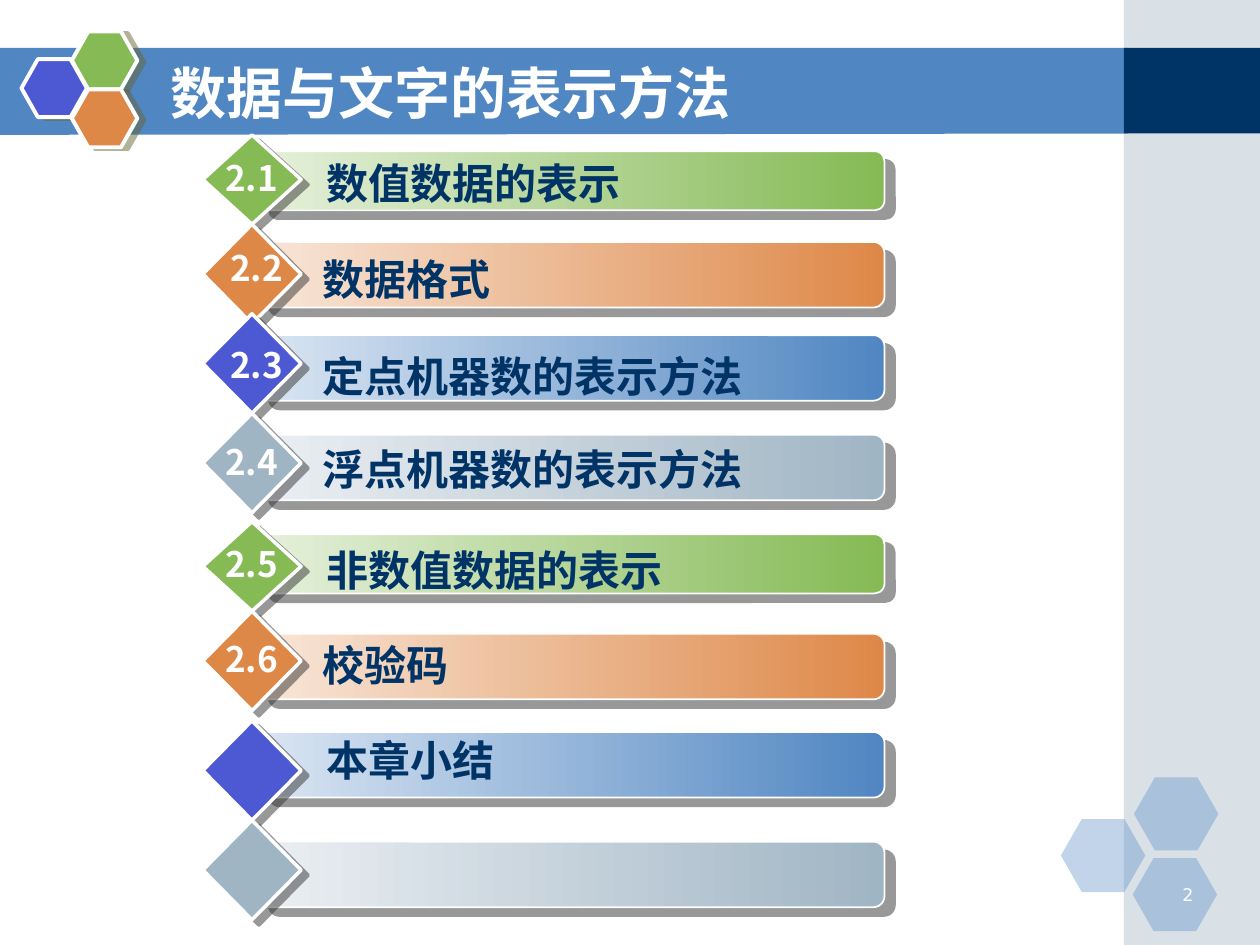
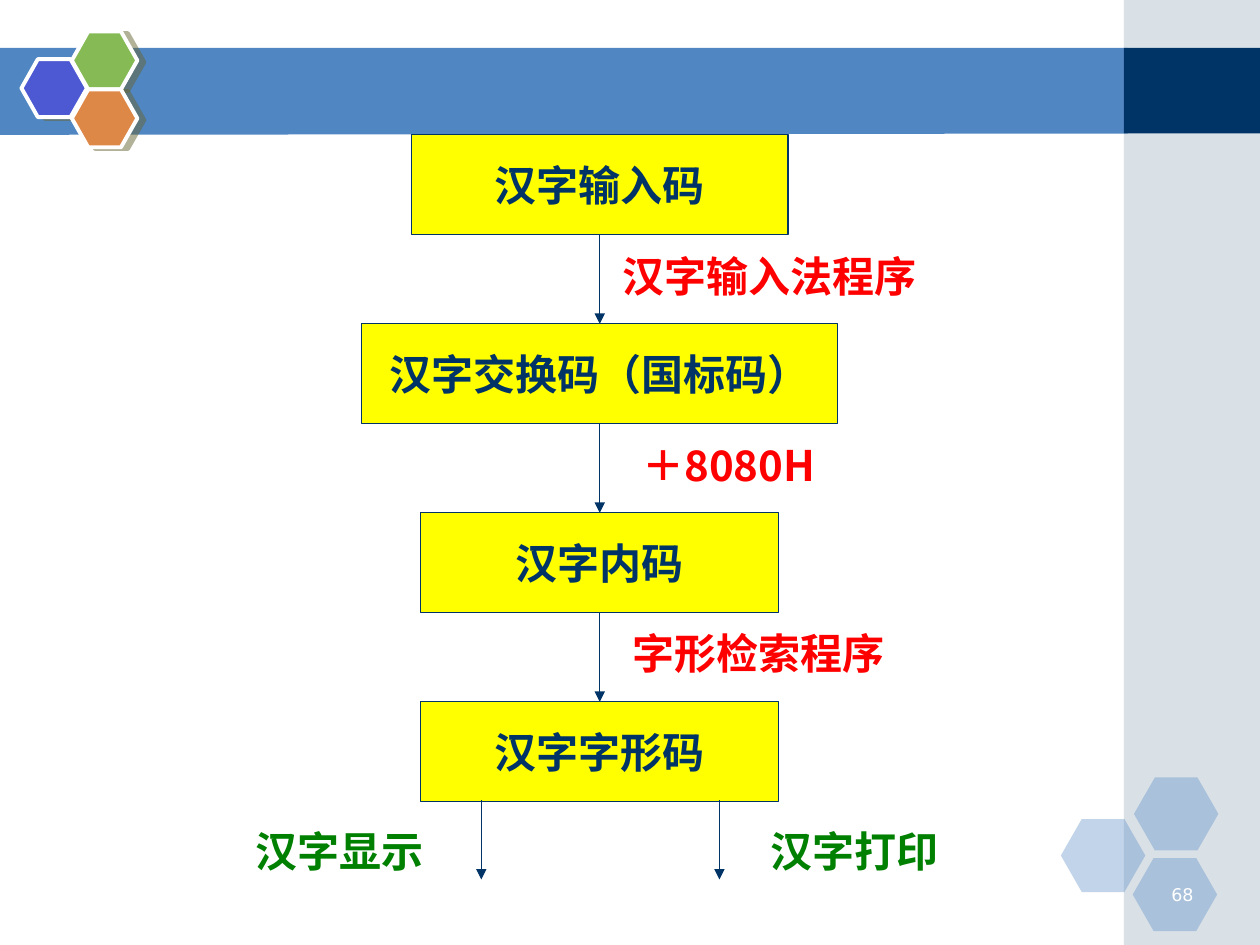
from itertools import cycle

from lxml.etree import SubElement
from pptx import Presentation
from pptx.dml.color import RGBColor as RGB
from pptx.enum.shapes import MSO_CONNECTOR as Line, MSO_SHAPE as Kind
from pptx.enum.text import MSO_ANCHOR as Anchor, MSO_AUTO_SIZE as Fit, PP_ALIGN as Align
from pptx.oxml.ns import qn
from pptx.util import Inches, Pt

# Colours
WHITE = RGB(0xFF, 0xFF, 0xFF)
NAVY = RGB(0x00, 0x33, 0x66)
BLUE = RGB(0x50, 0x86, 0xC2)
VIOLET = RGB(0x4C, 0x59, 0xD2)
GREEN = RGB(0x85, 0xBA, 0x54)
ORANGE = RGB(0xDE, 0x88, 0x48)
GREY = RGB(0xA0, 0xB5, 0xC4)
PALE_GREEN = RGB(0xE5, 0xF0, 0xDB)
PALE_ORANGE = RGB(0xF8, 0xE6, 0xD8)
PALE_BLUE = RGB(0xDA, 0xE5, 0xF2)
PALE_GREY = RGB(0xEB, 0xEF, 0xF3)
YELLOW = RGB(0xFF, 0xFF, 0x00)
RED = RGB(0xFF, 0x00, 0x00)
LEAF = RGB(0x00, 0x80, 0x00)
OLIVE = RGB(0x66, 0x66, 0x33)
DARK = RGB(0x33, 0x33, 0x33)

HAN = "Noto Sans CJK SC"
SANS = "DejaVu Sans"

# Shadows: colour, distance in points, angle in degrees
HEX_SHADE = (OLIVE, 4.1, 14)
BAR_SHADE = (DARK, 7.8, 40)
GEM_SHADE = (DARK, 5, 37)


class Deck:
    def __init__(self):
        self.prs = Presentation()
        self.prs.slide_width = Inches(10)
        self.prs.slide_height = Inches(7.5)
        self.slide = None

    def start(self, number, title=None):
        layout = self.prs.slide_layouts[5 if title else 6]
        self.slide = self.prs.slides.add_slide(layout)
        self.frame()
        self.label(number, 9.07, 6.97, 0.5, 0.25, 10, WHITE,
                   font=SANS, bold=False, align=Align.RIGHT)
        if title:
            self.title(title)

    def frame(self):
        # Title band and side panel
        corners = [(Inches(x), Inches(y)) for x, y in
                   ((-0.01, 0.38), (8.95, 0.38), (8.95, 1.06), (-0.01, 1.07))]
        band = self.slide.shapes.build_freeform(*corners[0])
        band.add_line_segments(corners[1:], close=True)
        self.paint(band.convert_to_shape(), BLUE)
        self.shape(Kind.RECTANGLE, 8.92, 0, 1.08, 7.5, GREY, alpha=40)
        self.shape(Kind.RECTANGLE, 8.92, 0.38, 1.08, 0.68, NAVY)
        # Pale and bright hexagons
        for x, y in ((8.42, 6.5), (9, 6.17), (8.99, 6.81)):
            self.shape(Kind.HEXAGON, x, y, 0.67, 0.58, BLUE, alpha=35, adj=0.286)
        for x, y, fill in ((0.17, 0.47, VIOLET), (0.57, 0.25, GREEN), (0.57, 0.71, ORANGE)):
            self.shape(Kind.HEXAGON, x, y, 0.52, 0.46, fill, line=(WHITE, 2.25),
                       shade=HEX_SHADE, adj=0.283)

    def title(self, text):
        box = self.slide.shapes.title
        self.slide.shapes.element.append(box.element)
        self.place(box, 1.25, 0.42, 7.33, 0.62)
        box.text_frame.auto_size = Fit.NONE
        box.text_frame.vertical_anchor = Anchor.MIDDLE
        self.letter(box, text, 32, WHITE)

    def place(self, box, *sides):
        box.left, box.top, box.width, box.height = map(Inches, sides)

    def paint(self, item, fill, line=None, shade=None, alpha=None):
        if isinstance(fill, RGB):
            item.fill.solid()
            item.fill.fore_color.rgb = fill
        else:
            item.fill.gradient()
            item.fill.gradient_angle = 0
            for stop, color in zip(item.fill.gradient_stops, fill):
                stop.color.rgb = color
        if line:
            item.line.color.rgb, item.line.width = line[0], Pt(line[1])
        else:
            item.line.fill.background()
        item.shadow.inherit = False
        props = item.element.spPr
        if alpha:
            self.fade(props.find(".//" + qn("a:srgbClr")), alpha)
        if shade:
            color, dist, angle = shade
            cast = SubElement(props.find(qn("a:effectLst")), qn("a:outerShdw"),
                              blurRad="0", dist=str(int(Pt(dist))),
                              dir=str(angle * 60000), algn="ctr", rotWithShape="0")
            self.fade(SubElement(cast, qn("a:srgbClr"), val=str(color)), 50)

    def fade(self, color, alpha):
        SubElement(color, qn("a:alpha"), val=str(alpha * 1000))

    def shape(self, kind, x, y, w, h, fill, line=None, shade=None, alpha=None, adj=None):
        item = self.slide.shapes.add_shape(kind, *map(Inches, (x, y, w, h)))
        if adj:
            item.adjustments[0] = adj
        self.paint(item, fill, line, shade, alpha)
        return item

    def letter(self, box, text, size, color, font=HAN, bold=True, align=Align.LEFT):
        para = box.text_frame.paragraphs[0]
        para.text = text
        para.alignment = align
        face = para.font
        face.size, face.bold, face.name = Pt(size), bold, font
        face.color.rgb = color
        # Typeface for Chinese characters
        props = box.element.find(".//" + qn("a:defRPr"))
        SubElement(props, qn("a:ea"), typeface=font)

    def label(self, text, x, y, w, h, size, color, **style):
        box = self.slide.shapes.add_textbox(*map(Inches, (x, y, w, h)))
        box.text_frame.word_wrap = True
        box.text_frame.auto_size = Fit.SHAPE_TO_FIT_TEXT
        self.letter(box, text, size, color, **style)

    def box(self, text, x, y, w, h):
        item = self.shape(Kind.RECTANGLE, x, y, w, h, YELLOW, line=(NAVY, 0.75))
        item.text_frame.word_wrap = False
        item.text_frame.vertical_anchor = Anchor.MIDDLE
        self.letter(item, text, 24, NAVY, align=Align.CENTER)
        return item

    def arrow(self, x, top, end, source=None, target=None):
        link = self.slide.shapes.add_connector(
            Line.STRAIGHT, *map(Inches, (x, top, x, end)))
        if source:
            link.begin_connect(source, 2)
        if target:
            link.end_connect(target, 0)
        link.line.color.rgb, link.line.width = NAVY, Pt(0.75)
        props = link.element.spPr
        SubElement(props.find(qn("a:ln")), qn("a:tailEnd"), type="triangle")
        SubElement(props, qn("a:effectLst"))


def contents(deck):
    deck.start("2", "数据与文字的表示方法")
    # Gem colour, bar gradient, bar height, gem height
    looks = cycle([
        (GREEN, (PALE_GREEN, GREEN), 0.47, 0.71),
        (ORANGE, (PALE_ORANGE, ORANGE), 0.52, 0.79),
        (VIOLET, (PALE_BLUE, BLUE), 0.52, 0.79),
        (GREY, (PALE_GREY, GREY), 0.52, 0.79),
    ])
    # Bar top, gem top, number with its place, heading with its place
    rows = [
        (1.2, 1.07, ("2.1", 1.69, 1.19), ("数值数据的表示", 2.49, 1.2)),
        (1.92, 1.78, ("2.2", 1.73, 1.91), ("数据格式", 2.46, 1.96)),
        (2.66, 2.49, ("2.3", 1.73, 2.68), ("定点机器数的表示方法", 2.46, 2.73)),
        (3.45, 3.28, ("2.4", 1.69, 3.45), ("浮点机器数的表示方法", 2.46, 3.47)),
        (4.24, 4.14, ("2.5", 1.69, 4.26), ("非数值数据的表示", 2.49, 4.27)),
        (5.03, 4.85, ("2.6", 1.69, 5.01), ("校验码", 2.46, 5.03)),
        (5.81, 5.72, None, ("本章小结", 2.49, 5.78)),
        (6.68, 6.51, None, None),
    ]
    for (bar, gem, number, head), (color, blend, tall, high) in zip(rows, looks):
        deck.shape(Kind.ROUNDED_RECTANGLE, 2.05, bar, 4.97, tall, blend,
                   line=(WHITE, 1), shade=BAR_SHADE, adj=0.167)
        deck.shape(Kind.DIAMOND, 1.61, gem, 0.78, high, color,
                   line=(WHITE, 2), shade=GEM_SHADE)
        if number:
            deck.label(*number, 0.7, 0.44, 20, WHITE)
        if head:
            deck.label(*head, 3.92, 0.5, 24, NAVY)


def codes(deck):
    deck.start("68")
    mid, top, step, tall = 4.76, 1.07, 1.5, 0.79
    # Chain of code boxes
    steps = [("汉字输入码", 2.99), ("汉字交换码（国标码）", 3.78),
             ("汉字内码", 2.84), ("汉字字形码", 2.84)]
    last = None
    for i, (text, wide) in enumerate(steps):
        y = top + i * step
        item = deck.box(text, mid - wide / 2, y, wide, tall)
        if last:
            deck.arrow(mid, y - step + tall, y, last, item)
        last = item
    # Output arrows
    for x in (3.82, 5.71):
        deck.arrow(x, 6.35, 6.98)
    # Labels beside the arrows
    for text, x, y, wide, color in (
            ("汉字输入法程序", 4.84, 1.94, 2.68, RED),
            ("＋8080H", 5, 3.44, 1.81, RED),
            ("字形检索程序", 4.92, 4.93, 2.68, RED),
            ("汉字显示", 1.93, 6.5, 1.65, LEAF),
            ("汉字打印", 6.02, 6.5, 1.65, LEAF)):
        deck.label(text, x, y, wide, 0.5, 24, color)


def main():
    deck = Deck()
    contents(deck)
    codes(deck)
    deck.prs.save("out.pptx")


if __name__ == "__main__":
    main()
